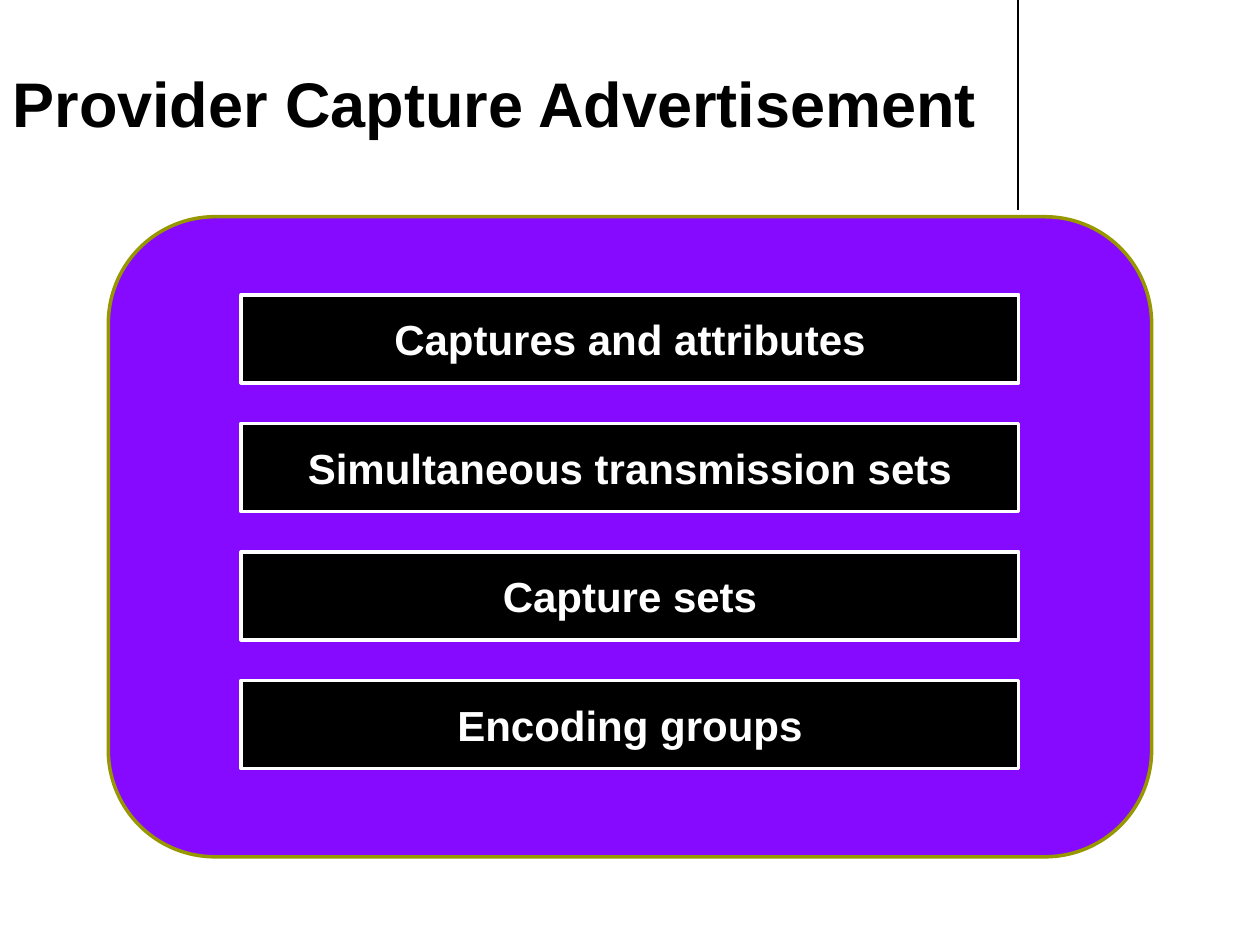
import pptx
import pptx.dml.color
import pptx.enum.shapes
import pptx.enum.text
import pptx.oxml
import pptx.oxml.ns
import pptx.util
from pptx.util import Inches

BLACK = pptx.dml.color.RGBColor(0x00, 0x00, 0x00)
WHITE = pptx.dml.color.RGBColor(0xFF, 0xFF, 0xFF)
PURPLE = pptx.dml.color.RGBColor(0x85, 0x0A, 0xFF)
OLIVE = pptx.dml.color.RGBColor(0x97, 0x97, 0x00)

ADVERTISED_PARTS = [
    "Captures and attributes",
    "Simultaneous transmission sets",
    "Capture sets",
    "Encoding groups",
]


def format_font(font, size, color):
    font.name = "Arial"
    font.size = pptx.util.Pt(size)
    font.bold = True
    font.color.rgb = color


def add_title(slide, left, top, width, height):
    title = slide.shapes.title
    title.left, title.top = left, top
    title.width, title.height = width, height
    frame = title.text_frame
    frame.text = "Provider Capture Advertisement"
    frame.word_wrap = True
    frame.auto_size = pptx.enum.text.MSO_AUTO_SIZE.NONE
    frame.vertical_anchor = pptx.enum.text.MSO_ANCHOR.BOTTOM
    paragraph = frame.paragraphs[0]
    paragraph.alignment = pptx.enum.text.PP_ALIGN.LEFT
    format_font(paragraph.font, 36, BLACK)


def add_divider(slide, left, top, height):
    divider = slide.shapes.add_connector(
        pptx.enum.shapes.MSO_CONNECTOR.STRAIGHT, left, top, left, top + height
    )
    divider.line.color.rgb = BLACK
    divider.line.width = pptx.util.Pt(0.75)
    properties = divider._element.spPr
    properties.append(pptx.oxml.parse_xml(f"<a:effectLst {pptx.oxml.ns.nsdecls('a')}/>"))


def add_box(slide, kind, left, top, width, height, fill, outline):
    shape = slide.shapes.add_shape(kind, left, top, width, height)
    shape.shadow.inherit = False
    shape.fill.solid()
    shape.fill.fore_color.rgb = fill
    shape.line.color.rgb = outline
    shape.line.width = pptx.util.Pt(2)
    return shape


def add_advertisement(slide, left, top, width, height):
    kinds = pptx.enum.shapes.MSO_SHAPE
    add_box(slide, kinds.ROUNDED_RECTANGLE, left, top, width, height, PURPLE, OLIVE)
    bar_width, bar_height = Inches(6.17), Inches(0.7)
    bar_left = left + (width - bar_width) // 2
    first_top = top + Inches(0.62)
    pitch = Inches(1.02)
    for index, text in enumerate(ADVERTISED_PARTS):
        bar = add_box(slide, kinds.RECTANGLE, bar_left, first_top + index * pitch,
                      bar_width, bar_height, BLACK, WHITE)
        frame = bar.text_frame
        frame.text = text
        frame.word_wrap = True
        frame.vertical_anchor = pptx.enum.text.MSO_ANCHOR.MIDDLE
        paragraph = frame.paragraphs[0]
        paragraph.alignment = pptx.enum.text.PP_ALIGN.CENTER
        format_font(paragraph.font, 24, WHITE)


def main():
    presentation = pptx.Presentation()
    presentation.slide_width = Inches(10)
    presentation.slide_height = Inches(7.5)
    slide = presentation.slides.add_slide(presentation.slide_layouts[5])
    add_divider(slide, Inches(8.08), Inches(0), Inches(1.67))
    add_title(slide, Inches(0), Inches(0.13), Inches(8), Inches(1.03))
    add_advertisement(slide, Inches(0.86), Inches(1.72), Inches(8.28), Inches(5.08))
    presentation.save("out.pptx")


if __name__ == "__main__":
    main()
